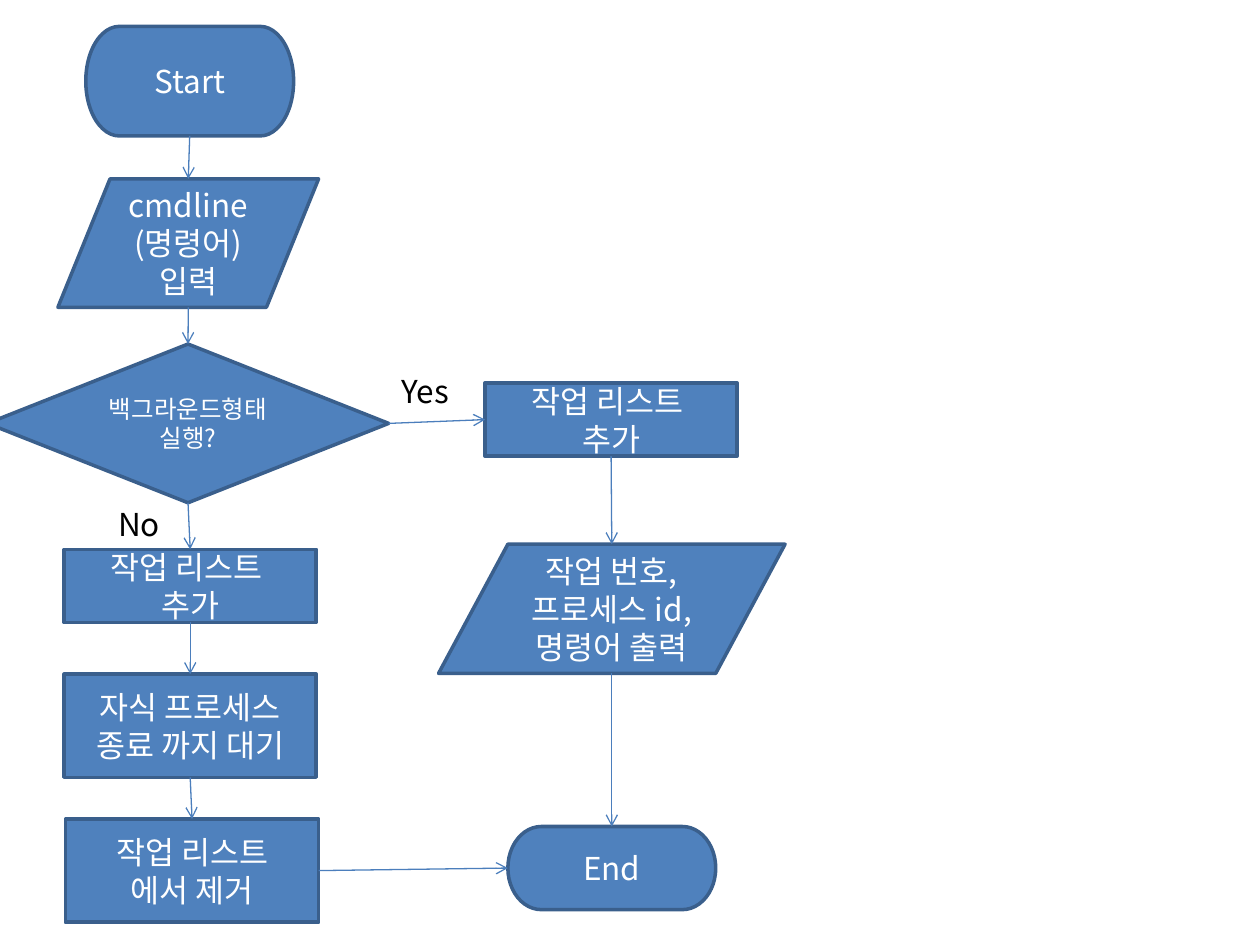
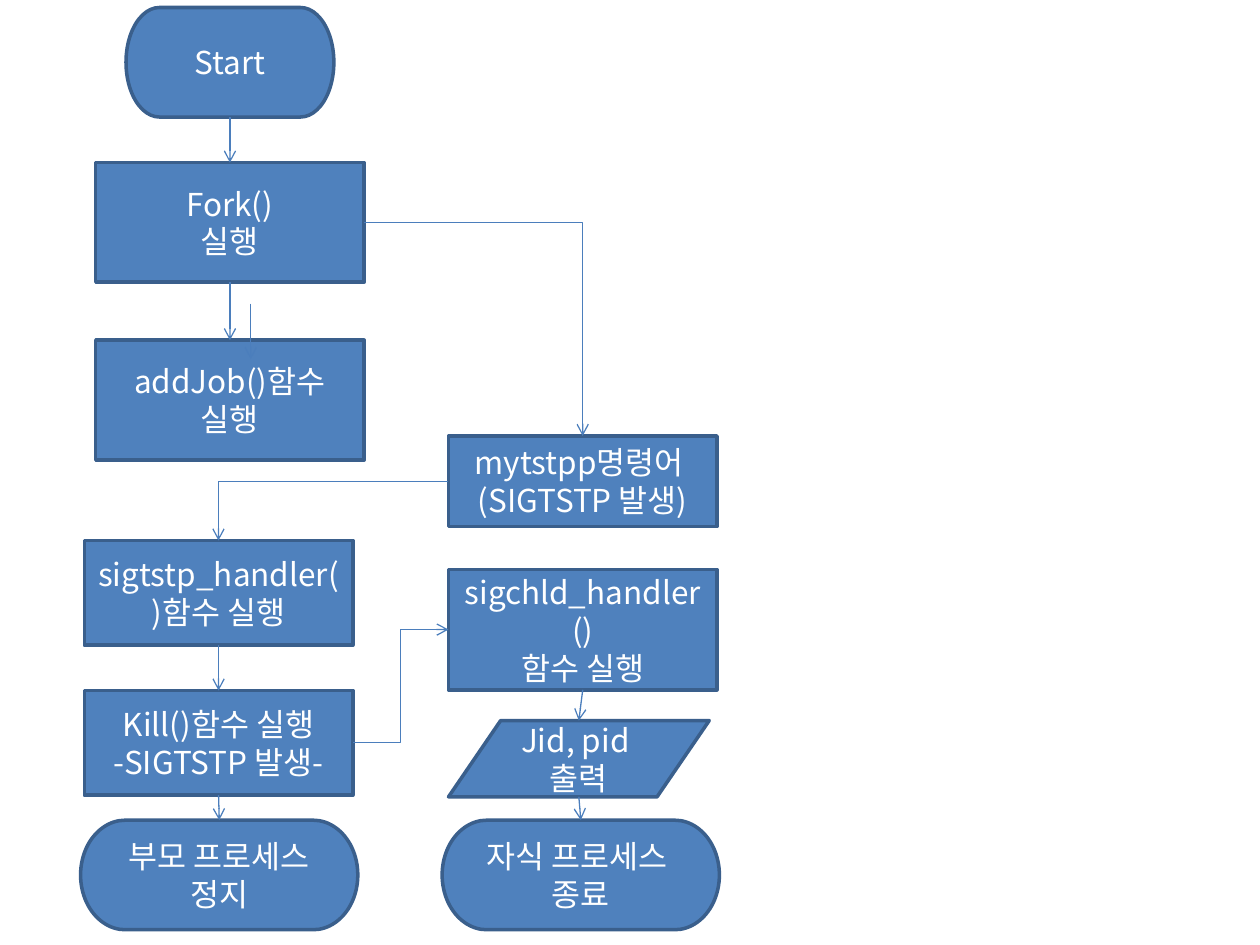
"""Two flowcharts: running a command line, and stopping a process with SIGTSTP."""
from dataclasses import dataclass

from lxml import etree
from pptx import Presentation
from pptx.dml.color import RGBColor
from pptx.enum.shapes import MSO_CONNECTOR, MSO_SHAPE
from pptx.enum.text import MSO_ANCHOR, PP_ALIGN
from pptx.oxml.ns import qn
from pptx.util import Pt

# Shared look
FILL = RGBColor(0x4F, 0x81, 0xBD)
OUTLINE = RGBColor(0x3A, 0x5F, 0x8C)
ARROW = RGBColor(0x4B, 0x7E, 0xBC)
WHITE = RGBColor(0xFF, 0xFF, 0xFF)
BLACK = RGBColor(0, 0, 0)
FONT = "Noto Sans CJK KR"

TERMINATOR = MSO_SHAPE.FLOWCHART_TERMINATOR
PROCESS = MSO_SHAPE.FLOWCHART_PROCESS
DATA = MSO_SHAPE.FLOWCHART_DATA
DECISION = MSO_SHAPE.FLOWCHART_DECISION
STRAIGHT, ELBOW = MSO_CONNECTOR.STRAIGHT, MSO_CONNECTOR.ELBOW
CENTER, LEFT_ALIGNED = PP_ALIGN.CENTER, PP_ALIGN.LEFT
MIDDLE, AT_TOP = MSO_ANCHOR.MIDDLE, MSO_ANCHOR.TOP

# Connection sites of a box, by index
TOP, LEFT, BOTTOM, RIGHT = range(4)


@dataclass(frozen=True)
class Node:
    """One box of a flowchart, in points."""
    kind: int
    left: float
    top: float
    width: float
    height: float
    text: str
    size: float = 18

    def site(self, side: int) -> tuple[float, float]:
        middle_x = self.left + self.width / 2
        middle_y = self.top + self.height / 2
        return {
            TOP: (middle_x, self.top),
            LEFT: (self.left, middle_y),
            BOTTOM: (middle_x, self.top + self.height),
            RIGHT: (self.left + self.width, middle_y),
        }[side]


@dataclass(frozen=True)
class Link:
    """An arrow between two named nodes; preset names a bent form."""
    source: str
    target: str
    leave: int = BOTTOM
    enter: int = TOP
    preset: str = ""


@dataclass(frozen=True)
class Label:
    left: float
    top: float
    text: str


def write(shape, text: str, *, size: float = 18, color: RGBColor = WHITE,
          align: PP_ALIGN = CENTER, anchor: MSO_ANCHOR = MIDDLE) -> None:
    """Fill a shape with text, one paragraph for each line."""
    frame = shape.text_frame
    frame.word_wrap = True
    frame.vertical_anchor = anchor
    frame.text = text
    for paragraph in frame.paragraphs:
        paragraph.alignment = align
        for run in paragraph.runs:
            run.font.size = Pt(size)
            run.font.name = FONT
            run.font.color.rgb = color
            east_asian = etree.SubElement(run._r.get_or_add_rPr(), qn("a:ea"))
            east_asian.set("typeface", FONT)


def draw_node(slide, node: Node):
    shape = slide.shapes.add_shape(node.kind, Pt(node.left), Pt(node.top),
                                   Pt(node.width), Pt(node.height))
    shape.shadow.inherit = False
    shape.fill.solid()
    shape.fill.fore_color.rgb = FILL
    shape.line.color.rgb = OUTLINE
    shape.line.width = Pt(2)
    write(shape, node.text, size=node.size)
    return shape


def draw_label(slide, label: Label) -> None:
    box = slide.shapes.add_textbox(Pt(label.left), Pt(label.top), Pt(55.4), Pt(28.8))
    write(box, label.text, color=BLACK, align=LEFT_ALIGNED, anchor=AT_TOP)


def draw_arrow(slide, start: tuple[float, float], end: tuple[float, float],
               preset: str = ""):
    connector = slide.shapes.add_connector(
        ELBOW if preset else STRAIGHT, *(Pt(value) for value in start + end))
    connector.line.color.rgb = ARROW
    connector.line.width = Pt(0.75)
    properties = connector._element.spPr
    if preset:
        properties.find(qn("a:prstGeom")).set("prst", preset)
    tail = etree.SubElement(properties.find(qn("a:ln")), qn("a:tailEnd"))
    tail.set("type", "arrow")
    etree.SubElement(properties, qn("a:effectLst"))
    return connector


def draw_flowchart(presentation, nodes: dict[str, Node], links: list[Link],
                   labels: list[Label]):
    slide = presentation.slides.add_slide(presentation.slide_layouts[6])
    shapes = {name: draw_node(slide, node) for name, node in nodes.items()}
    for link in links:
        source, target = nodes[link.source], nodes[link.target]
        connector = draw_arrow(slide, source.site(link.leave),
                               target.site(link.enter), link.preset)
        # Data boxes number their connection sites differently: not glued
        if source.kind != DATA:
            connector.begin_connect(shapes[link.source], link.leave)
        if target.kind != DATA:
            connector.end_connect(shapes[link.target], link.enter)
    for label in labels:
        draw_label(slide, label)
    return slide


# Slide 1: command line
COMMAND_NODES = {
    "start": Node(TERMINATOR, 49, 15.1, 118.8, 62.6, "Start"),
    "end": Node(TERMINATOR, 290.2, 472.3, 118.8, 47.5, "End"),
    "input": Node(DATA, 33.1, 102.2, 149, 73.4, "cmdline (명령어)입력"),
    "background": Node(DECISION, -7.2, 196.6, 229.3, 90.7,
                       "백그라운드형태 실행?", 14),
    "remove": Node(PROCESS, 37.4, 468, 144.7, 59, "작업 리스트\n에서 제거"),
    "wait": Node(PROCESS, 36.7, 385.2, 144, 59, "자식 프로세스 종료 까지 대기"),
    "add": Node(PROCESS, 36.7, 313.9, 144, 41.8, "작업 리스트 \n추가"),
    "add background": Node(PROCESS, 277.2, 218.9, 144, 41.8, "작업 리스트 \n추가"),
    "output": Node(DATA, 250.6, 311, 198, 73.8,
                   "작업 번호, 프로세스 id, 명령어 출력"),
}
COMMAND_LINKS = [
    Link("start", "input"),
    Link("input", "background"),
    Link("background", "add"),
    Link("background", "add background", RIGHT, LEFT),
    Link("add", "wait"),
    Link("wait", "remove"),
    Link("remove", "end", RIGHT, LEFT),
    Link("add background", "output"),
    Link("output", "end"),
]
COMMAND_LABELS = [Label(60.5, 285.1, "No"), Label(222.5, 208.8, "Yes")]

# Slide 2: stop signal
SIGNAL_NODES = {
    "start": Node(TERMINATOR, 72, 4.3, 118.8, 62.6, "Start"),
    "fork": Node(PROCESS, 54.7, 92.9, 153.4, 68.4, "Fork()\n실행"),
    "add job": Node(PROCESS, 54.7, 194.4, 153.4, 68.4, "addJob()함수\n실행"),
    "command": Node(PROCESS, 256.3, 249.1, 153.4, 51.8,
                    "mytstpp명령어 \n(SIGTSTP 발생)"),
    "stop handler": Node(PROCESS, 48.2, 308.9, 153.4, 59.8,
                         "sigtstp_handler()함수 실행"),
    "kill": Node(PROCESS, 48.2, 394.6, 153.4, 59.8,
                 "Kill()함수 실행\n-SIGTSTP 발생-"),
    "child handler": Node(PROCESS, 256.3, 325.4, 153.4, 68.8,
                          "sigchld_handler()\n함수 실행"),
    "output": Node(DATA, 256.3, 411.8, 149, 43.6, "Jid, pid \n출력"),
    "parent": Node(TERMINATOR, 46.1, 468.7, 158.4, 62.6, "부모 프로세스 정지"),
    "child": Node(TERMINATOR, 252.7, 468.7, 158.4, 62.6, "자식 프로세스 \n종료"),
}
SIGNAL_LINKS = [
    Link("start", "fork"),
    Link("fork", "add job"),
    Link("fork", "command", RIGHT, TOP, "bentConnector2"),
    Link("command", "stop handler", LEFT, TOP, "bentConnector2"),
    Link("stop handler", "kill"),
    Link("kill", "parent"),
    Link("kill", "child handler", RIGHT, LEFT, "bentConnector3"),
    Link("child handler", "output"),
    Link("output", "child"),
]


def main() -> None:
    presentation = Presentation()
    presentation.slide_width, presentation.slide_height = Pt(720), Pt(540)
    draw_flowchart(presentation, COMMAND_NODES, COMMAND_LINKS, COMMAND_LABELS)
    signal_slide = draw_flowchart(presentation, SIGNAL_NODES, SIGNAL_LINKS, [])
    # Free arrow beside the one into addJob()
    draw_arrow(signal_slide, (143.3, 173.5), (143.3, 205.2))
    presentation.save("out.pptx")


main()
